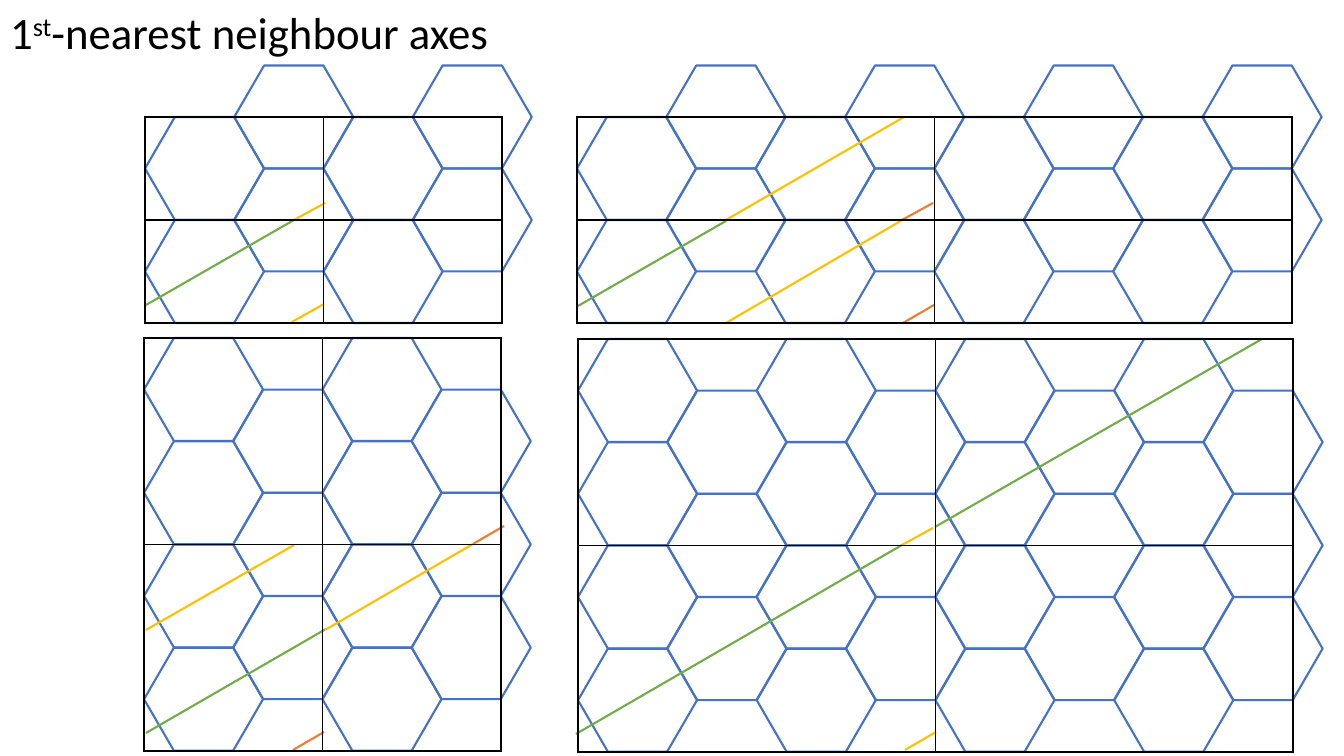
import lxml.etree
import pptx
import pptx.dml.color
import pptx.enum.shapes
import pptx.enum.text
import pptx.oxml.ns
import pptx.util

SCALE = 914400 / 100.8
BLACK = pptx.dml.color.RGBColor(0x00, 0x00, 0x00)
BLUE = pptx.dml.color.RGBColor(0x44, 0x72, 0xC4)
GREEN = pptx.dml.color.RGBColor(0x70, 0xAD, 0x47)
GOLD = pptx.dml.color.RGBColor(0xFF, 0xC0, 0x00)
ORANGE = pptx.dml.color.RGBColor(0xED, 0x7D, 0x31)
HEX_WIDTH, HEX_HEIGHT = 119, 103
PANELS = [
    ((145, 117, 357, 206), 4, 2, -0.5, 2, [
        (GREEN, 1, 188, 149, 103), (GOLD, 149, 103, 180, 86),
        (GOLD, 147, 205, 179, 187)]),
    ((577, 117, 715, 206), 8, 2, -0.5, 2, [
        (GREEN, 1, 189, 149, 104), (GOLD, 149, 103, 327, 0),
        (GOLD, 149, 206, 327, 102), (ORANGE, 325, 103, 356, 86),
        (ORANGE, 326, 206, 357, 188)]),
    ((144, 338, 357, 413), 4, 4, 0.5, 3, [
        (GREEN, 2, 395, 182, 291), (GOLD, 181, 292, 329, 206),
        (GOLD, 2, 292, 150, 207), (ORANGE, 329, 206, 360, 188),
        (ORANGE, 149, 412, 180, 394)]),
    ((578, 339, 715, 413), 8, 4, 0.5, 3, [
        (GREEN, -2, 395, 324, 206), (GOLD, 324, 206, 355, 189),
        (GOLD, 327, 411, 358, 393), (GREEN, 357, 188, 684, 0)]),
]


def px(length):
    """Turn pixels into EMU."""
    return pptx.util.Emu(round(length * SCALE))


def add_title(page, box):
    """Write the heading with its superscript ordinal."""
    title = page.shapes.title
    title.left, title.top, title.width, title.height = map(px, box)
    frame = title.text_frame
    frame.word_wrap = False
    frame.auto_size = pptx.enum.text.MSO_AUTO_SIZE.SHAPE_TO_FIT_TEXT
    frame.vertical_anchor = pptx.enum.text.MSO_ANCHOR.TOP
    para = frame.paragraphs[0]
    para.alignment = pptx.enum.text.PP_ALIGN.LEFT
    for words, baseline in (("1", 0), ("st", 30000), ("-nearest neighbour axes", 0)):
        span = para.add_run()
        span.text = words
        span.font.name = "Calibri"
        span.font.size = pptx.util.Pt(32)
        span.font.color.rgb = BLACK
        if baseline:
            span.font._element.set("baseline", str(baseline))


def add_hexagon(shapes, left, top):
    """Draw one outlined lattice cell."""
    hexagon = shapes.add_shape(
        pptx.enum.shapes.MSO_SHAPE.HEXAGON,
        px(left), px(top), px(HEX_WIDTH), px(HEX_HEIGHT))
    hexagon.adjustments[0] = 0.29
    hexagon.shadow.inherit = False
    hexagon.fill.background()
    hexagon.line.color.rgb = BLUE
    hexagon.line.width = pptx.util.Pt(1.5)


def add_axis(shapes, color, start, end):
    """Draw one axis segment."""
    axis = shapes.add_connector(
        pptx.enum.shapes.MSO_CONNECTOR.STRAIGHT, *map(px, start + end))
    axis.line.color.rgb = color
    axis.line.width = pptx.util.Pt(1.5)
    lxml.etree.SubElement(axis._element.spPr, pptx.oxml.ns.qn("a:effectLst"))


def border_cell(cell):
    """Give a cell thin black borders and no fill."""
    cell.fill.background()
    properties = cell._tc.get_or_add_tcPr()
    for index, side in enumerate(("lnL", "lnR", "lnT", "lnB")):
        border = lxml.etree.Element(pptx.oxml.ns.qn("a:" + side), w="12700")
        fill = lxml.etree.SubElement(border, pptx.oxml.ns.qn("a:solidFill"))
        lxml.etree.SubElement(fill, pptx.oxml.ns.qn("a:srgbClr"), val=str(BLACK))
        properties.insert(index, border)


def add_supercell(page, box):
    """Lay the two-by-two table over a lattice."""
    table = page.shapes.add_table(2, 2, *map(px, box)).table
    table.first_row = False
    table.horz_banding = False
    for row in table.rows:
        row.height = px(box[3] / 2)
        for cell in row.cells:
            border_cell(cell)


def add_panel(page, box, columns, rows, odd_shift, odd_rows, axes):
    """Build a hexagonal lattice with its axes and table."""
    left, top, width, height = box
    shapes = page.shapes.add_group_shape().shapes
    for column in range(columns):
        shift, count = (odd_shift, odd_rows) if column % 2 else (0, rows)
        for row in range(count):
            add_hexagon(shapes, left + column * width / columns,
                        top + (row + shift) * height / rows)
    for color, x1, y1, x2, y2 in axes:
        add_axis(shapes, color, (left + x1, top + y1), (left + x2, top + y2))
    add_supercell(page, box)


def main():
    """Build and save the deck."""
    deck = pptx.Presentation()
    deck.slide_width, deck.slide_height = px(1344), px(756)
    page = deck.slides.add_slide(deck.slide_layouts[5])
    add_title(page, (0, 0, 506, 64))
    for panel in PANELS:
        add_panel(page, *panel)
    deck.save("out.pptx")


main()
